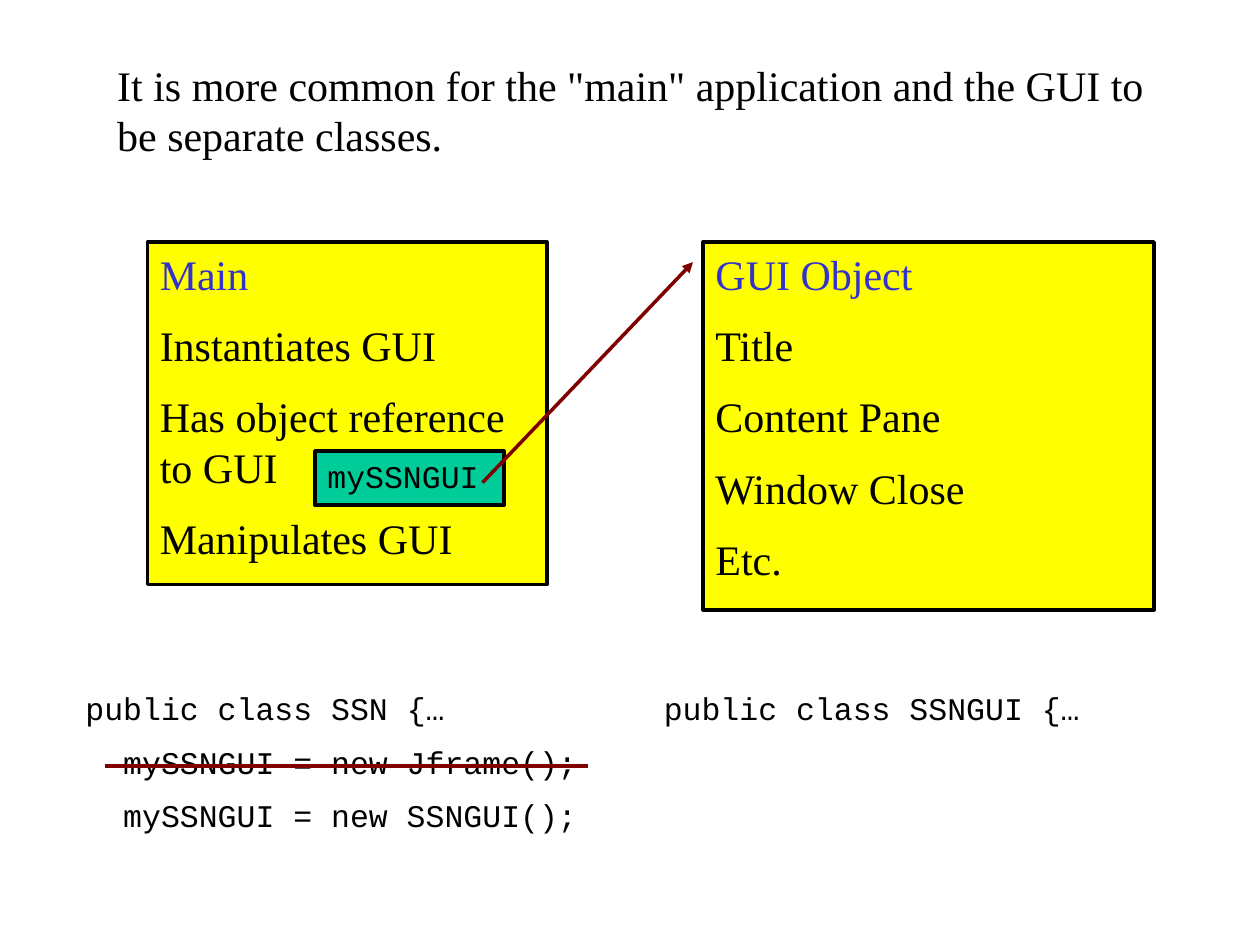
from pptx import Presentation, util as u
from pptx.dml.color import RGBColor
from pptx.enum import shapes, text
from pptx.oxml.ns import qn
from lxml import etree

SERIF, MONO = "Times New Roman", "Courier New"
BLACK, BLUE, YELLOW, GREEN, MAROON = "000000", "3333CC", "FFFF00", "00CC99", "800000"
CODE_INDENT = 0.3

TITLE = 'It is more common for the "main" application and the GUI to be separate classes.'
TITLE_BOX = (0.83, 0.42, 8.42, 0.9)

CLASS_BOXES = [
    ((1.17, 1.92, 3.17, 2.72),
     ["Main", "Instantiates GUI", "Has object reference to GUI", "Manipulates GUI"]),
    ((5.58, 1.92, 3.58, 2.92),
     ["GUI Object", "Title", "Content Pane", "Window Close", "Etc."]),
]
REFERENCE_BOX = ((2.5, 3.58, 1.5, 0.43), ["mySSNGUI"])
CODE_BLOCKS = [
    ((0.58, 5.42, 4.33, 1.3),
     ["public class SSN {…", "mySSNGUI = new Jframe();", "mySSNGUI = new SSNGUI();"]),
    ((5.17, 5.42, 4, 0.4), ["public class SSNGUI {…"]),
]
REFERENCE_ARROW = (3.83, 3.83, 5.5, 2.08)
STRIKE_LINE = (0.83, 6.08, 4.67, 6.08)


def color(value):
    """Turn a hex string into a colour."""
    return RGBColor.from_string(value)


def inches(values):
    """Turn plain numbers into lengths."""
    return [u.Inches(value) for value in values]


def write(shape, lines, font, size, first_color=BLACK, indent=0):
    """Fill a shape with paragraphs half a line apart; indent all but the first."""
    frame = shape.text_frame
    frame.text = "\n".join(lines)
    frame.word_wrap = True
    frame.auto_size = text.MSO_AUTO_SIZE.NONE
    frame.vertical_anchor = text.MSO_ANCHOR.TOP
    for index, paragraph in enumerate(frame.paragraphs):
        paragraph.alignment = text.PP_ALIGN.LEFT
        paragraph.space_before = u.Pt(size / 2 if index else 0)
        paragraph.font.name = font
        paragraph.font.size = u.Pt(size)
        paragraph.font.color.rgb = color(BLACK if index else first_color)
        if index and indent:
            properties = paragraph._p.get_or_add_pPr()
            properties.set("marL", str(u.Inches(indent)))
            properties.set("indent", "0")


def add_box(slide, place, fill):
    """Add a filled rectangle with a black outline."""
    box = slide.shapes.add_shape(shapes.MSO_SHAPE.RECTANGLE, *inches(place))
    box.shadow.inherit = False
    box.fill.solid()
    box.fill.fore_color.rgb = color(fill)
    box.line.color.rgb = color(BLACK)
    box.line.width = u.Pt(2)
    return box


def add_line(slide, ends, arrow=False):
    """Add a maroon line, with an arrowhead at its end if asked."""
    line = slide.shapes.add_connector(shapes.MSO_CONNECTOR.STRAIGHT, *inches(ends))
    line.line.color.rgb = color(MAROON)
    line.line.width = u.Pt(2)
    if arrow:
        etree.SubElement(line.line._get_or_add_ln(), qn("a:tailEnd"), type="triangle")
    etree.SubElement(line._element.spPr, qn("a:effectLst"))


presentation = Presentation()
presentation.slide_width, presentation.slide_height = inches((10, 7.5))
slide = presentation.slides.add_slide(presentation.slide_layouts[5])

title = slide.shapes.title
title.left, title.top, title.width, title.height = inches(TITLE_BOX)
write(title, [TITLE], SERIF, 24)

for place, lines in CLASS_BOXES:
    write(add_box(slide, place, YELLOW), lines, SERIF, 24, first_color=BLUE)

place, lines = REFERENCE_BOX
write(add_box(slide, place, GREEN), lines, MONO, 18)
add_line(slide, REFERENCE_ARROW, arrow=True)

for place, lines in CODE_BLOCKS:
    write(slide.shapes.add_textbox(*inches(place)), lines, MONO, 18, indent=CODE_INDENT)
add_line(slide, STRIKE_LINE)

presentation.save("out.pptx")
